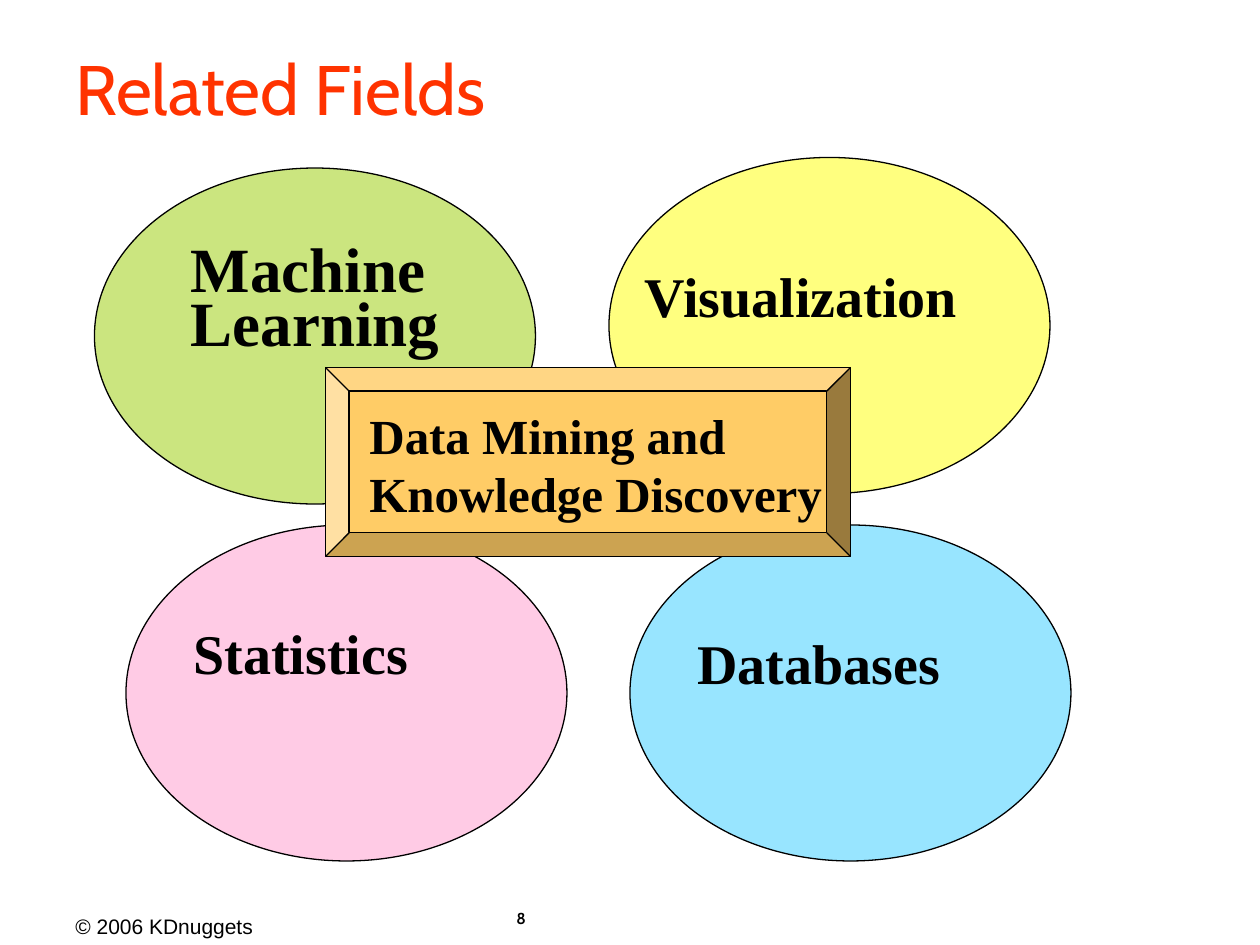
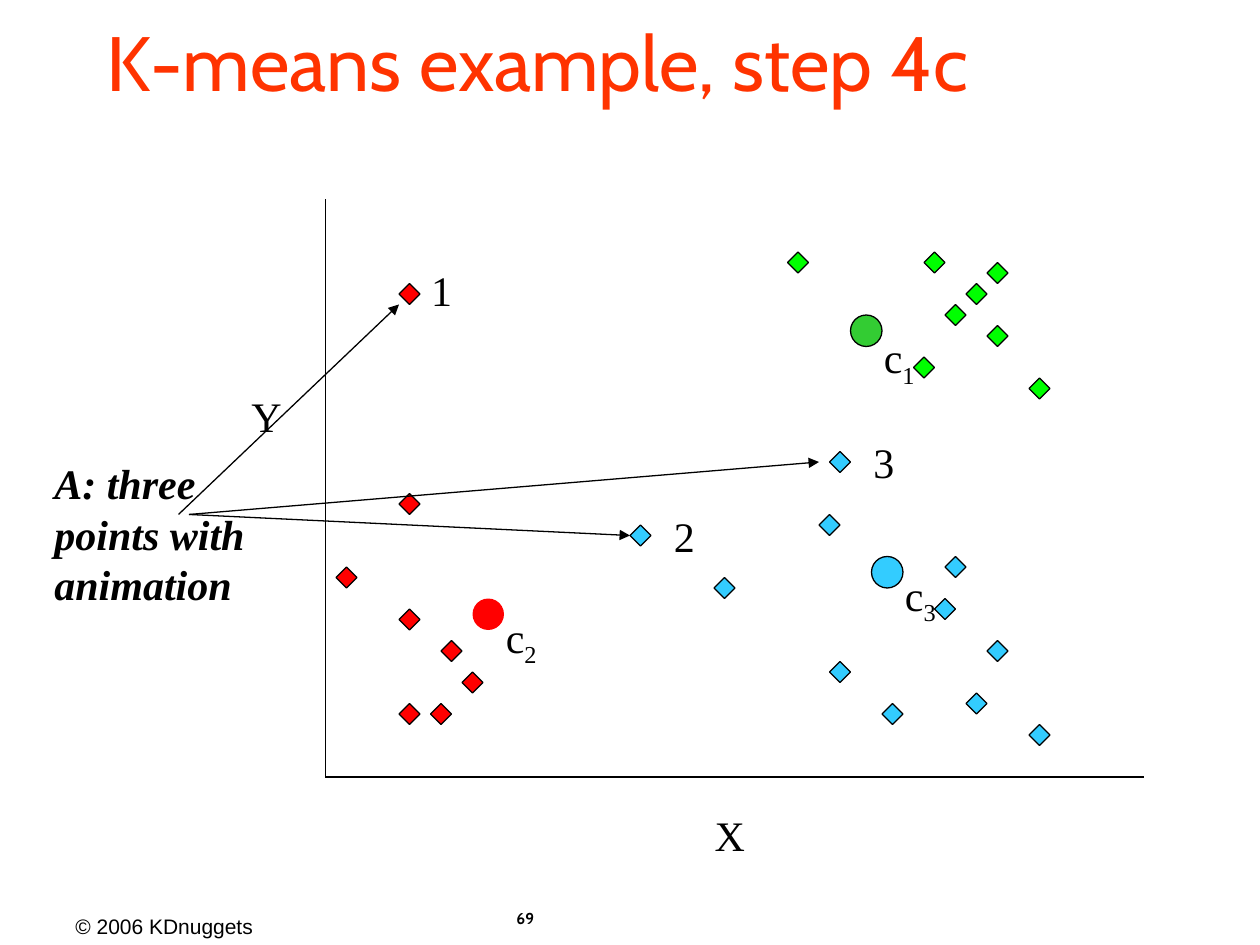
from dataclasses import dataclass

from lxml import etree
from pptx import Presentation
from pptx import util as u
from pptx.dml.color import RGBColor
from pptx.enum import shapes, text
from pptx.oxml.ns import qn

PX = 9525
BLACK, TITLE_RED = "000000", "FF3300"
RED, GREEN, BLUE = "FF0000", "00FF00", "33CCFF"
SERIF, TITLE_FONT, FOOTER_FONT = "Times New Roman", "Cabin", "Arial"
POINT_SIZE, CENTROID_SIZE = 16, 24


@dataclass(frozen=True)
class Box:
    left: int
    top: int
    width: int
    height: int

    def emu(self) -> tuple:
        return tuple(px(n) for n in (self.left, self.top, self.width, self.height))


@dataclass(frozen=True)
class Label:
    box: Box
    lines: tuple
    size: float = 24
    font: str = SERIF
    color: str = BLACK
    bold: bool = False
    italic: bool = False
    subscript: str = ""
    spacing: float = 1.0
    gap: float = 0
    wrap: bool = False
    grow: bool = True
    middle: bool = False


@dataclass(frozen=True)
class Field:
    box: Box
    color: str
    label: Label


@dataclass(frozen=True)
class Cluster:
    point_color: str
    points: tuple
    centroid_color: str
    centroid: tuple
    number: str
    label_drop: int
    outlined: bool = True


@dataclass(frozen=True)
class Line:
    start: tuple
    end: tuple
    arrow: bool = False


def px(n: int) -> u.Emu:
    return u.Emu(n * PX)


def paint(color_format, color: str) -> None:
    color_format.rgb = RGBColor.from_string(color)


def add_run(paragraph, words: str, label: Label, subscript: bool = False) -> None:
    run = paragraph.add_run()
    run.text = words
    run.font.name = label.font
    run.font.size = u.Pt(label.size)
    run.font.bold = label.bold
    run.font.italic = label.italic
    paint(run.font.color, label.color)
    if subscript:
        run._r.get_or_add_rPr().set("baseline", "-25000")


def add_label(slide, label: Label) -> None:
    frame = slide.shapes.add_textbox(*label.box.emu()).text_frame
    frame.word_wrap = label.wrap
    frame.auto_size = (text.MSO_AUTO_SIZE.SHAPE_TO_FIT_TEXT if label.grow
                       else text.MSO_AUTO_SIZE.NONE)
    frame.vertical_anchor = (text.MSO_ANCHOR.MIDDLE if label.middle
                             else text.MSO_ANCHOR.TOP)
    for index, words in enumerate(label.lines):
        paragraph = frame.add_paragraph() if index else frame.paragraphs[0]
        paragraph.line_spacing = label.spacing
        if index and label.gap:
            paragraph.space_before = u.Pt(label.gap)
        add_run(paragraph, words, label)
        if label.subscript:
            add_run(paragraph, label.subscript, label, subscript=True)


def add_figure(slide, preset, box: Box, color: str, outlined: bool = True,
               opacity: int = 100) -> None:
    figure = slide.shapes.add_shape(preset, *box.emu())
    figure.shadow.inherit = False
    figure.fill.solid()
    paint(figure.fill.fore_color, color)
    if opacity < 100:
        tint = figure._element.spPr.find(qn("a:solidFill"))[0]
        etree.SubElement(tint, qn("a:alpha")).set("val", str(opacity * 1000))
    if outlined:
        figure.line.width = u.Pt(0.75)
        paint(figure.line.color, BLACK)
    else:
        figure.line.fill.background()


def add_line(slide, line: Line) -> None:
    connector = slide.shapes.add_connector(
        shapes.MSO_CONNECTOR.STRAIGHT, *map(px, line.start + line.end))
    connector.line.width = u.Pt(0.75)
    paint(connector.line.color, BLACK)
    if line.arrow:
        stroke = connector.line._get_or_add_ln()
        etree.SubElement(stroke, qn("a:tailEnd")).set("type", "triangle")
    etree.SubElement(connector._element.spPr, qn("a:effectLst"))


def add_page(deck, title: str, title_box: Box, title_size: int, number: str):
    slide = deck.slides.add_slide(deck.slide_layouts[6])
    add_label(slide, Label(Box(48, 691, 155, 29), ("© 2006 KDnuggets",), 12, FOOTER_FONT))
    add_label(slide, Label(Box(384, 688, 98, 32), (number,), 9, TITLE_FONT,
                           bold=True, wrap=True, grow=False))
    add_label(slide, Label(title_box, (title,), title_size, TITLE_FONT, TITLE_RED,
                           spacing=0.85, wrap=True, grow=False, middle=True))
    return slide


def field_name(left: int, top: int, width: int, name: str) -> Label:
    return Label(Box(left, top, width, 56), (name,), 32, bold=True, spacing=0.9)


def add_related_fields(deck) -> None:
    slide = add_page(deck, "Related Fields", Box(48, 24, 872, 96), 40, "8")
    machine_learning = Label(Box(136, 200, 248, 74), ("Machine", "Learning"), 36,
                             bold=True, spacing=0.4, gap=13.5, wrap=True)
    fields = (
        Field(Box(480, 400, 336, 256), BLUE, field_name(522, 480, 265, "Databases")),
        Field(Box(96, 400, 336, 256), "FF99CC", field_name(138, 472, 243, "Statistics")),
        Field(Box(464, 120, 336, 256), "FFFF00", field_name(482, 200, 319, "Visualization")),
        Field(Box(72, 128, 336, 256), "99CC00", machine_learning),
    )
    for field in fields:
        add_figure(slide, shapes.MSO_SHAPE.OVAL, field.box, field.color, opacity=50)
    add_figure(slide, shapes.MSO_SHAPE.BEVEL, Box(248, 280, 400, 144), "FFCC66")
    for field in fields:
        add_label(slide, field.label)
    add_label(slide, Label(Box(272, 304, 364, 100),
                           ("Data Mining and", "Knowledge Discovery"), 28, bold=True))


def add_cluster(slide, cluster: Cluster) -> None:
    for left, top in cluster.points:
        add_figure(slide, shapes.MSO_SHAPE.DIAMOND,
                   Box(left, top, POINT_SIZE, POINT_SIZE), cluster.point_color)
    left, top = cluster.centroid
    add_figure(slide, shapes.MSO_SHAPE.OVAL, Box(left, top, CENTROID_SIZE, CENTROID_SIZE),
               cluster.centroid_color, cluster.outlined)
    add_label(slide, Label(Box(left + 16, top + cluster.label_drop, 56, 48), ("c",),
                           subscript=cluster.number, wrap=True, grow=False))


def add_k_means(deck) -> None:
    slide = add_page(deck, "K-means example, step 4c", Box(72, 24, 856, 56), 44, "69")
    clusters = (
        Cluster(GREEN, ((704, 192), (752, 200), (736, 216), (720, 232), (752, 248),
                        (784, 288), (600, 192), (696, 272)),
                "33CC33", (648, 240), "1", 8),
        Cluster(RED, ((336, 488), (352, 512), (328, 536), (304, 464), (304, 216),
                      (304, 376), (304, 536), (256, 432)),
                RED, (360, 456), "2", 5, outlined=False),
        Cluster(BLUE, ((480, 400), (632, 344), (632, 504), (672, 536), (712, 456),
                       (624, 392), (544, 440), (752, 488), (736, 528), (720, 424),
                       (784, 552)),
                BLUE, (664, 424), "3", 5),
    )
    for cluster in clusters:
        add_cluster(slide, cluster)

    origin = (248, 592)
    for line in (Line((248, 152), origin), Line(origin, (872, 592)),
                 Line((136, 392), (304, 232), arrow=True),
                 Line((144, 392), (480, 408), arrow=True),
                 Line((144, 392), (624, 352), arrow=True)):
        add_line(slide, line)

    for left, top, width, mark in ((535, 612, 42, "X"), (182, 293, 42, "Y"),
                                   (319, 197, 35, "1"), (504, 384, 35, "2"),
                                   (656, 328, 35, "3")):
        add_label(slide, Label(Box(left, top, width, 48), (mark,)))
    add_label(slide, Label(Box(32, 344, 192, 125), ("A: three points with animation",),
                           bold=True, italic=True, wrap=True))


def main() -> None:
    deck = Presentation()
    deck.slide_width, deck.slide_height = px(960), px(720)
    add_related_fields(deck)
    add_k_means(deck)
    deck.save("out.pptx")


if __name__ == "__main__":
    main()
